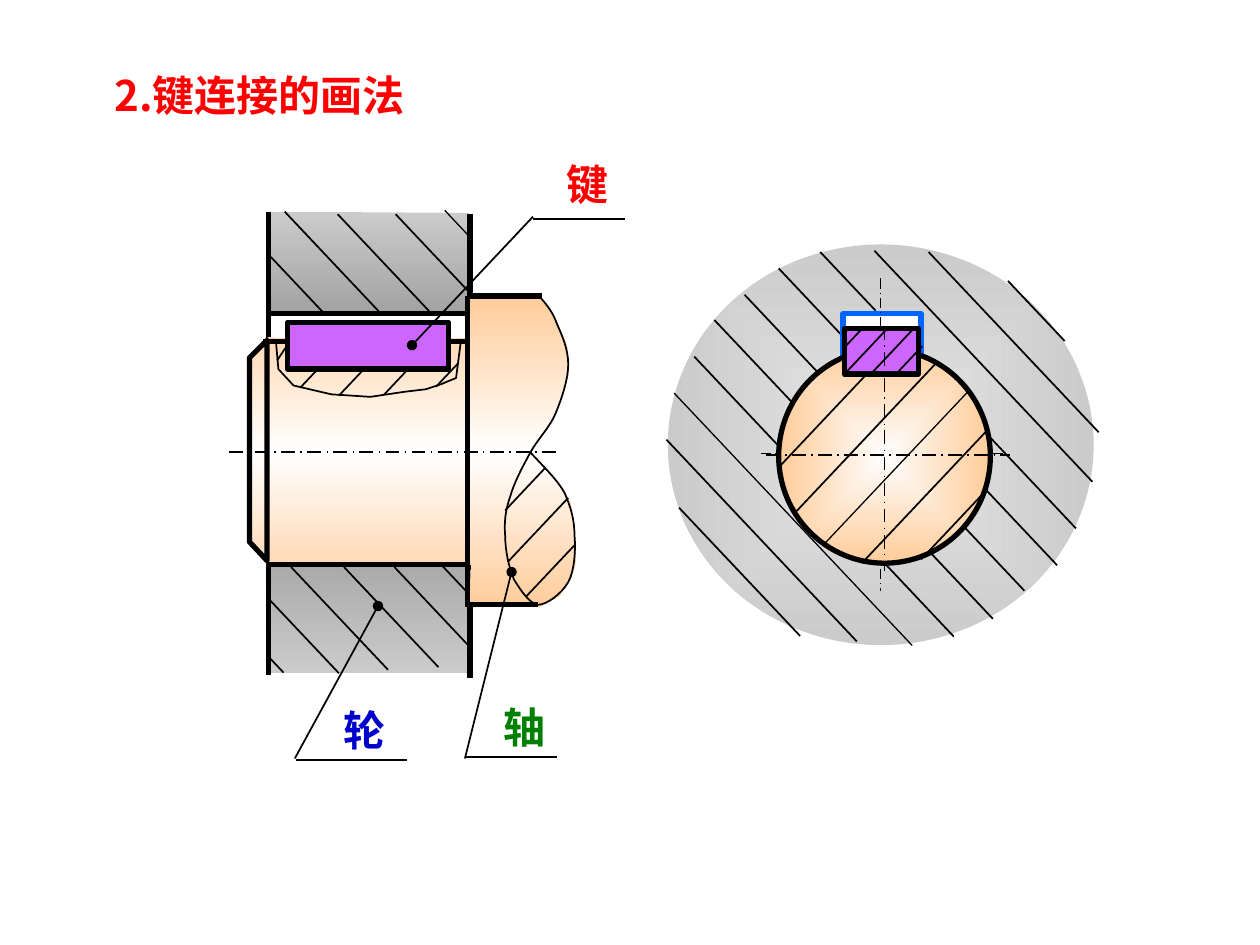
from lxml.etree import SubElement
from pptx import Presentation
from pptx.dml.color import RGBColor
from pptx.enum.dml import MSO_LINE
from pptx.enum.shapes import MSO_CONNECTOR, MSO_SHAPE
from pptx.enum.text import MSO_ANCHOR, MSO_AUTO_SIZE, PP_ALIGN
from pptx.oxml import parse_xml
from pptx.oxml.ns import nsdecls, qn
from pptx.util import Inches, Pt

FONT = "Noto Sans CJK SC"
BLACK, RED, BLUE, GREEN = "000000", "FF0000", "0000CC", "008000"
PEACH, VIOLET, WHITE = "FFCC99", "CC66FF", "FFFFFF"
THIN, FINE, THICK = 1, 0.75, 3
CENTRE = '<a:path path="rect"><a:fillToRect l="50000" t="50000" r="50000" b="50000"/></a:path>'
DOWN = '<a:lin ang="5400000" scaled="0"/>'


def rgb(value):
    return RGBColor.from_string(value)


def bezier(points, steps=8):
    curve = [points[0]]
    for i in range(0, len(points) - 1, 3):
        a, b, c, d = points[i:i + 4]
        for n in range(1, steps + 1):
            t = n / steps
            u = 1 - t
            curve.append(tuple(u**3 * a[k] + 3 * u * u * t * b[k] + 3 * u * t * t * c[k] + t**3 * d[k]
                               for k in (0, 1)))
    return curve


class Drawing:
    """Draws technical elements on a slide with a grid of 100 columns and 75 rows."""

    def __init__(self, prs):
        self.s = prs.slides.add_slide(prs.slide_layouts[6])
        self.col, self.row = prs.slide_width / 100, prs.slide_height / 75

    def at(self, x, y):
        return round(x * self.col), round(y * self.row)

    def paint(self, sp, fill, line, width, shade=DOWN):
        sp.shadow.inherit = False
        sp.fill.background()
        if isinstance(fill, str):
            sp.fill.solid()
            sp.fill.fore_color.rgb = rgb(fill)
        elif fill:
            last = len(fill) - 1
            stops = "".join(f'<a:gs pos="{i * 100000 // last}"><a:srgbClr val="{c}"/></a:gs>'
                            for i, c in enumerate(fill))
            spPr = sp._element.spPr
            spPr.replace(spPr.find(qn("a:noFill")), parse_xml(
                f'<a:gradFill {nsdecls("a")} rotWithShape="1"><a:gsLst>{stops}</a:gsLst>{shade}</a:gradFill>'))
        if line:
            sp.line.color.rgb = rgb(line)
            sp.line.width = Pt(width)
        else:
            sp.line.fill.background()

    def line(self, x1, y1, x2, y2, width=THIN, dash=False, dot=False):
        cn = self.s.shapes.add_connector(MSO_CONNECTOR.STRAIGHT, *self.at(x1, y1), *self.at(x2, y2))
        cn.line.color.rgb = rgb(BLACK)
        cn.line.width = Pt(width)
        if dash:
            cn.line.dash_style = MSO_LINE.LONG_DASH_DOT
        if dot:
            SubElement(cn.line._get_or_add_ln(), qn("a:headEnd"), type="oval")
        SubElement(cn._element.spPr, qn("a:effectLst"))

    def hatch(self, rows, slope=1.06):
        for x, y, dx, *width in rows:
            self.line(x, y, x + dx, y + slope * dx, *width)

    def outline(self, points, fill=None, line=BLACK, width=THIN, close=False):
        start, *rest = [self.at(*pt) for pt in points]
        fb = self.s.shapes.build_freeform(*start)
        fb.add_line_segments(rest, close=close)
        self.paint(fb.convert_to_shape(), fill, line, width)

    def shape(self, kind, x, y, w, h, fill, line=BLACK):
        sp = self.s.shapes.add_shape(kind, *self.at(x, y), *self.at(w, h))
        self.paint(sp, fill, line, THICK, CENTRE)

    def text(self, text, x, y, w, h, color, label=True):
        tf = self.s.shapes.add_textbox(*self.at(x, y), *self.at(w, h)).text_frame
        tf.vertical_anchor = MSO_ANCHOR.MIDDLE
        tf.word_wrap = not label
        tf.auto_size = MSO_AUTO_SIZE.SHAPE_TO_FIT_TEXT if label else MSO_AUTO_SIZE.NONE
        p = tf.paragraphs[0]
        p.text = text
        p.alignment = PP_ALIGN.CENTER if label else PP_ALIGN.LEFT
        p.font.size, p.font.bold, p.font.name = Pt(24), True, FONT
        p.font.color.rgb = rgb(color)
        SubElement(p._p.pPr.find(qn("a:defRPr")), qn("a:ea"), typeface=FONT)


def draw_wheel(d):
    d.outline([(21.3, 16.8), (21.3, 25), (37.3, 25), (37.2, 16.9)], ("CBCBCB", "A2A2A2"), None)
    d.outline([(21.2, 53.4), (21.3, 51.4), (21.2, 44.9), (37.3, 44.8), (37.3, 53.4)],
              ("AAAAAA", "CBCBCB"), None)
    d.line(37.3, 17, 37.3, 53.8, THICK)
    d.line(21.3, 16.8, 21.3, 53.6, THICK)
    d.hatch([(21.5, 20.4, 4.3), (22.6, 16.8, 7.6), (26.8, 17, 7.5), (31.4, 17, 5.9),
             (35.3, 16.7, 1.8, FINE), (35, 44.8, 2.3), (31.3, 45, 6.1), (27.3, 45, 7.5),
             (23.1, 45, 7.7), (21.3, 47.5, 5.6), (21.2, 52, 1.3)])
    d.line(21.3, 24.9, 37.4, 24.9, THICK)


def draw_shaft(d):
    d.outline([(21.3, 26.8), (19.8, 28.2), (19.7, 43.1), (21.3, 44.8), (37.4, 44.8), (37.3, 48.2),
               (42.8, 48.2), (44.4, 47.3), (45.3, 45.9), (45.7, 44.6), (45.6, 42.5), (45.3, 40),
               (44.3, 38.2), (43.2, 37), (42.2, 35.7), (43.4, 34), (44.4, 32), (45.1, 29.8),
               (45, 27.5), (44.3, 25.8), (43.5, 24.3), (42.8, 23.5), (37.2, 23.5), (37.2, 26.9),
               (35.7, 26.9), (35.7, 29.2), (22.7, 29.2), (22.7, 26.9)],
              (PEACH, WHITE, PEACH), None, close=True)
    d.line(37.1, 23.5, 43, 23.5, THICK)
    d.line(37.3, 48, 42.7, 48, THICK)
    d.hatch([(40.1, 40.5, 3.2), (40.3, 44.6, 4.8), (41.8, 47.3, 3.8)], -1.06)
    d.outline([(21.2, 44.5), (19.8, 43), (19.8, 28.4), (21.2, 27)], width=THICK, close=True)
    d.line(20.9, 27.1, 37.1, 27.1, THICK)
    d.shape(MSO_SHAPE.RECTANGLE, 22.8, 25.6, 12.8, 3.7, VIOLET)
    d.outline([(21.9, 27.1), (22.1, 29.3), (23.3, 30.6), (26.3, 31.3), (29.4, 31.5), (32.1, 31.1),
               (33.8, 30.9), (35, 30.5), (36.2, 30), (36.6, 26.9)])
    d.line(18.2, 35.9, 44.1, 35.9, dash=True)
    d.line(21.2, 44.8, 37.1, 44.8, THICK)
    d.outline(bezier([
        (42.8, 23.5), (43.4, 24.2), (43.9, 24.8), (44.2, 25.7), (44.6, 26.6), (45.1, 27.7),
        (45.1, 28.9), (45.1, 30.1), (44.6, 31.6), (44.1, 32.8), (43.6, 34), (42.7, 34.8),
        (42.1, 35.9), (41.5, 37), (40.8, 38.3), (40.5, 39.4), (40.1, 40.5), (40, 41.5),
        (40.1, 42.6), (40.1, 43.7), (40.4, 45.1), (40.8, 46), (41.3, 46.8), (42, 47.9),
        (42.7, 48), (43.4, 48), (44.6, 47.1), (45.1, 46.2), (45.6, 45.3), (45.7, 43.7),
        (45.6, 42.5), (45.6, 41.3), (45.3, 40.2), (44.8, 39.1), (44.2, 38), (42.7, 36.6),
        (42.1, 35.9)]))
    d.line(22, 28.6, 22.8, 27.4)
    d.hatch([(23.9, 30.7, 1.2), (26.9, 31.4, 2), (30.5, 31.3, 1.8), (34.6, 30.7, 1.8)], -1.06)
    d.line(37.1, 23.5, 37.1, 48.2, THICK)


def draw_section(d):
    d.shape(MSO_SHAPE.OVAL, 53, 19.4, 33.8, 31.8, ("E4E4E4", "CBCBCB"), None)
    d.hatch([(53.9, 40.3, 9.6), (52.9, 34.9, 15.1), (55.1, 28.3, 6.6), (70.3, 44.8, 5.4),
             (56.7, 25.4, 6.3), (73.5, 43.5, 5.3), (59.1, 23.4, 6), (76.6, 41.9, 4.7),
             (61.8, 21.3, 5.4), (77.8, 38.4, 6.1), (65.1, 20, 4.4), (78, 34.1, 7.4),
             (69.4, 19.9, 17.3), (73.7, 20, 13.5), (80, 22.3, 4.5)])
    d.line(60.4, 36, 79.9, 36, FINE, dash=True)
    d.outline([(66.9, 28.7), (66.9, 24.9), (73.1, 24.9), (73.1, 28.5)], WHITE, "0066FF", THICK)
    d.line(69.9, 22.1, 69.9, 46.9, FINE, dash=True)
    d.shape(MSO_SHAPE.OVAL, 61.8, 27.7, 16.8, 17, ("FEFEFE", PEACH))
    d.shape(MSO_SHAPE.RECTANGLE, 67, 26.1, 5.9, 3.6, VIOLET)
    d.hatch([(66.9, 27.7, 1.7), (67.2, 29.5, 3.3), (69.1, 29.7, 3.4), (71.1, 29.7, 2.1),
             (73.1, 44.4, 5.3), (68.4, 44.7, 10), (65.3, 43.3, 11.5, FINE), (63, 40.8, 11.2),
             (61.8, 37.1, 7.1)], -1.06)
    d.line(70.2, 25.9, 70.2, 45.3, dash=True)
    d.line(60.8, 36.1, 80.2, 36.1, dash=True)
    d.hatch([(53.5, 31.2, 18.9, FINE)])


def draw_labels(d):
    d.text("2.键连接的画法", 8.1, 5.1, 32.4, 4.9, RED, label=False)
    for text, x, y, color, leader, shelf in (
            ("轮", 26.3, 55.4, BLUE, (30, 48.1, 23.4, 60.2), (23.5, 60.3, 32.3, 60.3)),
            ("轴", 39, 55.2, GREEN, (40.6, 45.4, 36.9, 60.2), (36.9, 60.1, 44.2, 60.1)),
            ("键", 44, 12.1, RED, (32.7, 27.4, 42.3, 17.2), (42.3, 17.4, 49.6, 17.4))):
        d.line(*leader, dot=True)
        d.line(*shelf)
        d.text(text, x, y, 5.3, 5, color)


def main():
    prs = Presentation()
    prs.slide_width, prs.slide_height = Inches(10), Inches(7.5)
    d = Drawing(prs)
    for draw in (draw_wheel, draw_shaft, draw_section, draw_labels):
        draw(d)
    prs.save("out.pptx")


if __name__ == "__main__":
    main()
